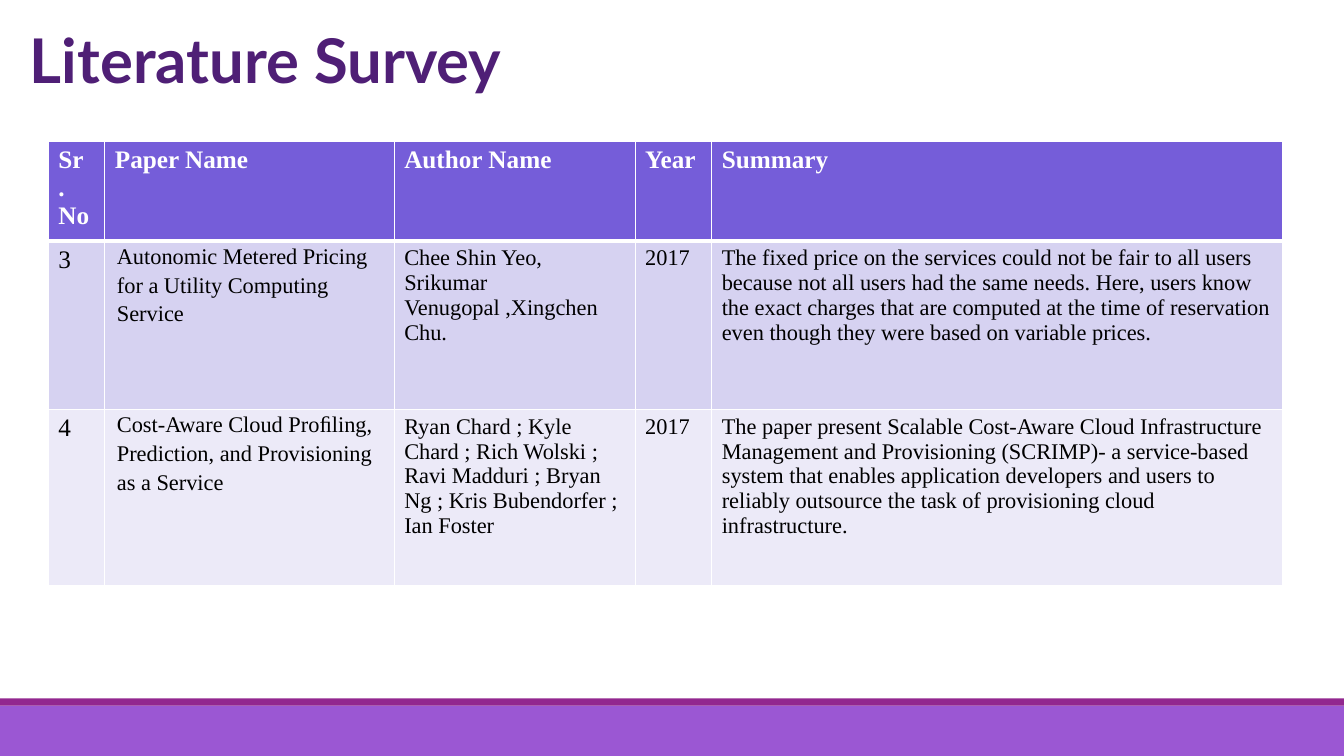
from dataclasses import dataclass

from lxml import etree
from pptx import Presentation
from pptx.dml.color import RGBColor
from pptx.enum import shapes, text
from pptx.oxml.ns import qn
from pptx.util import Inches, Pt


@dataclass(frozen=True)
class Theme:
    """Colours, fonts and type sizes of the slide."""
    title: str = "4F1F76"
    footer: str = "9B57D3"
    stripe: str = "92278F"
    rows: tuple = ("755DD9", "D6D2F1", "ECEAF8")
    light: str = "FFFFFF"
    dark: str = "000000"
    title_font: str = "Lato"
    table_font: str = "Times New Roman"
    title_size: int = 44
    head_size: int = 18
    body_size: int = 16


theme = Theme()


def style_text(paragraph, font_name, size, color, bold):
    """Format every run of a paragraph."""
    for run in paragraph.runs:
        run.font.name = font_name
        run.font.size = Pt(size)
        run.font.bold = bold
        run.font.color.rgb = RGBColor.from_string(color)


def add_borders(cell, widths):
    """Draw white cell borders; widths are points for left, right, top, bottom."""
    properties = cell._tc.get_or_add_tcPr()
    for index, (side, width) in enumerate(zip("LRTB", widths)):
        line = etree.Element(qn(f"a:ln{side}"), w=str(Pt(width)))
        fill = etree.SubElement(line, qn("a:solidFill"))
        etree.SubElement(fill, qn("a:srgbClr"), val=theme.light)
        properties.insert(index, line)


prs = Presentation()
prs.slide_width, prs.slide_height = Inches(13.33), Inches(7.5)
slide = prs.slides.add_slide(prs.slide_layouts[5])

# Footer bands
for top, height, color in ((7, 0.5, theme.footer), (6.93, 0.07, theme.stripe)):
    band = slide.shapes.add_shape(shapes.MSO_SHAPE.RECTANGLE, 0, Inches(top),
                                  prs.slide_width, Inches(height))
    band.fill.solid()
    band.fill.fore_color.rgb = RGBColor.from_string(color)
    band.line.fill.background()
    band.shadow.inherit = False

# Title
title = slide.shapes.title
title.left, title.top = Inches(-0.7), Inches(0.17)
title.width, title.height = Inches(6.67), Inches(1.54)
title.text_frame.text = "Literature Survey"
title.text_frame.vertical_anchor = text.MSO_ANCHOR.TOP
heading = title.text_frame.paragraphs[0]
heading.alignment = text.PP_ALIGN.CENTER
style_text(heading, theme.title_font, theme.title_size, theme.title, True)

# Survey table
survey = [
    ("Sr . No", "Paper Name", "Author Name", "Year", "Summary"),
    ("3", "Autonomic Metered Pricing for a Utility Computing Service",
     "Chee Shin Yeo, Srikumar Venugopal ,Xingchen Chu.", "2017",
     "The fixed price on the services could not be fair to all users because "
     "not all users had the same needs. Here, users know the exact charges "
     "that are computed at the time of reservation even though they were "
     "based on variable prices."),
    ("4", "Cost-Aware Cloud Pro\ufb01ling, Prediction, and Provisioning as a Service ",
     "Ryan Chard ; Kyle Chard ; Rich Wolski ; Ravi Madduri ; Bryan Ng ; "
     "Kris Bubendorfer ; Ian Foster", "2017",
     "The paper present Scalable Cost-Aware Cloud Infrastructure Management "
     "and Provisioning (SCRIMP)- a service-based system that enables "
     "application developers and users to reliably outsource the task of "
     "provisioning cloud infrastructure."),
]
column_widths = (0.56, 2.87, 2.39, 0.76, 5.66)
row_heights = (0.99, 1.67, 1.75)
table = slide.shapes.add_table(
    len(survey), len(column_widths), Inches(0.48), Inches(1.4),
    Inches(sum(column_widths)), Inches(sum(row_heights))).table
for column, width in zip(table.columns, column_widths):
    column.width = Inches(width)
for row, height in zip(table.rows, row_heights):
    row.height = Inches(height)

for r, entries in enumerate(survey):
    is_header = r == 0
    for c, entry in enumerate(entries):
        cell = table.cell(r, c)
        cell.text_frame.text = entry
        paragraph = cell.text_frame.paragraphs[0]
        is_paper = c == 1 and not is_header
        side, edge = (0.12, 0) if is_paper else (0.1, 0.05)
        cell.margin_left = cell.margin_right = Inches(side)
        cell.margin_top = cell.margin_bottom = Inches(edge)
        if is_paper:
            paragraph.line_spacing = 1.15
        size = theme.head_size if is_header or c == 0 else theme.body_size
        style_text(paragraph, theme.table_font, size,
                   theme.light if is_header else theme.dark, is_header)
        cell.fill.solid()
        cell.fill.fore_color.rgb = RGBColor.from_string(theme.rows[r])
        add_borders(cell, (1, 1, 3 if r == 1 else 1, 3 if is_header else 1))

prs.save("out.pptx")
